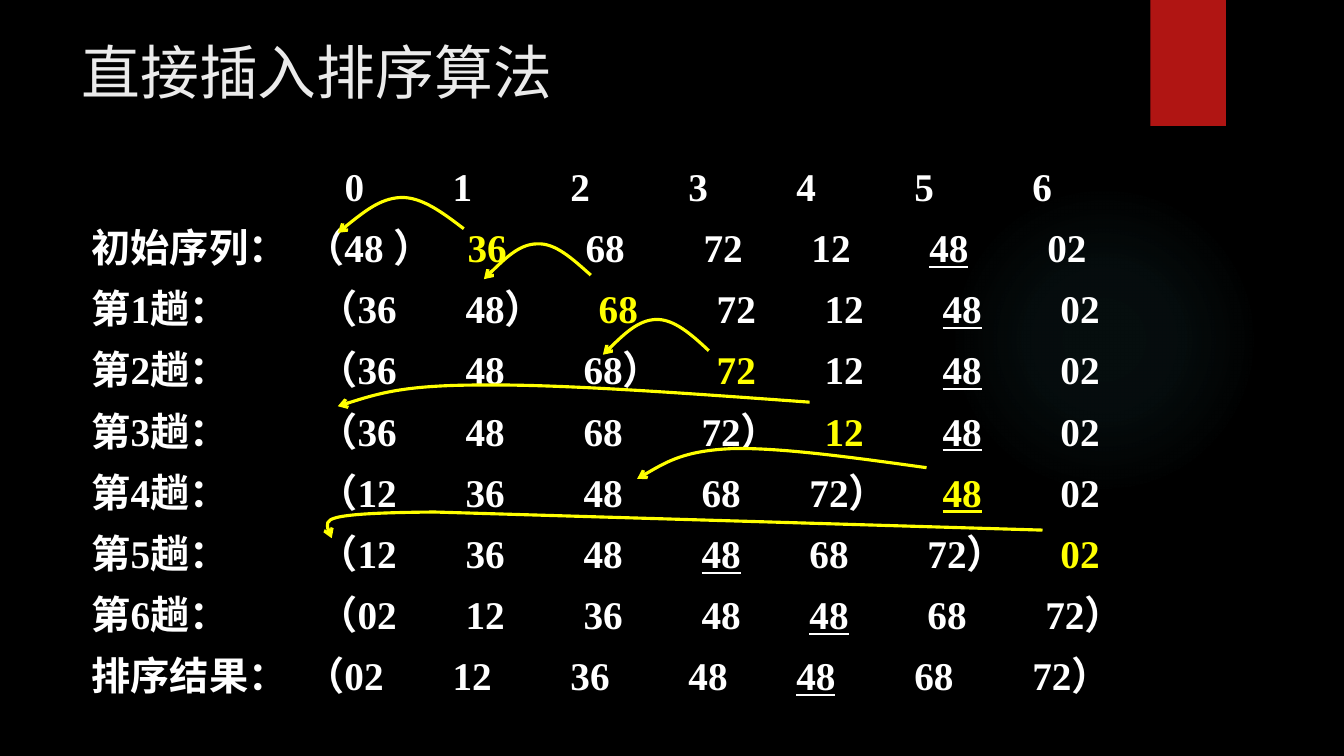
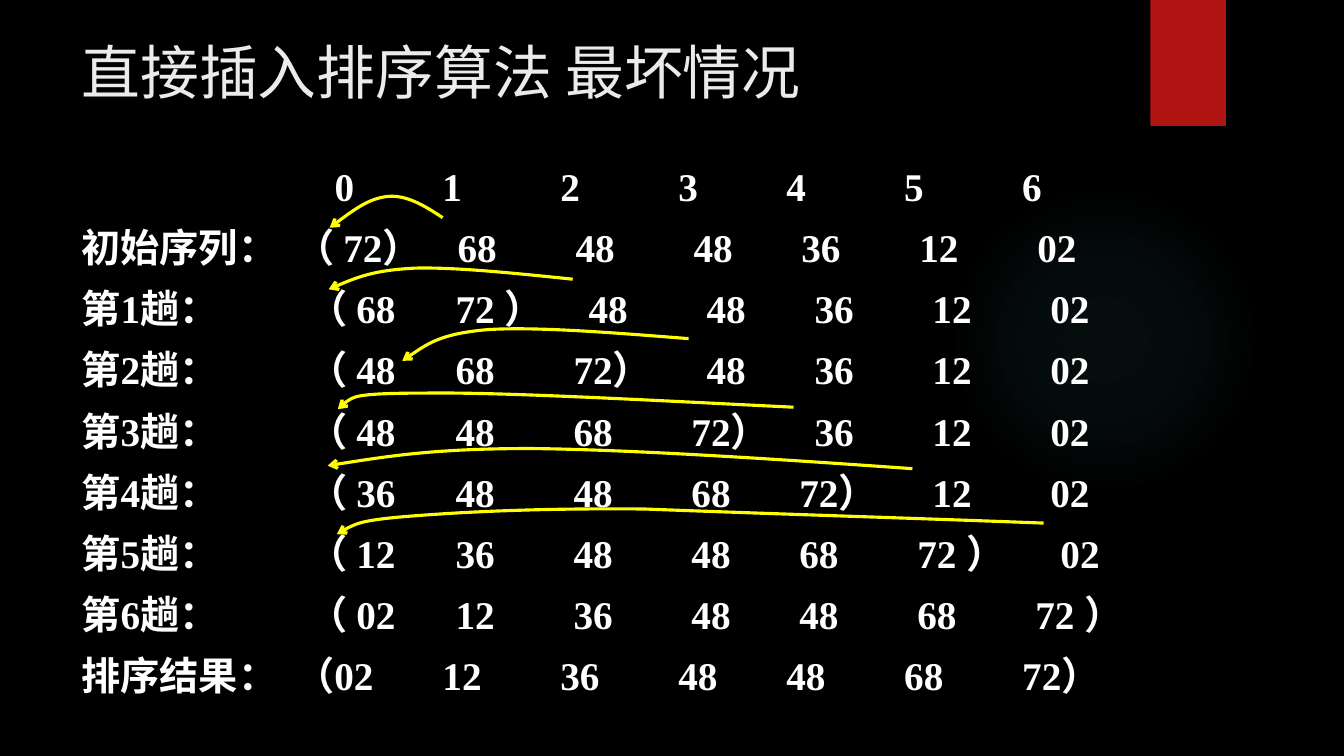
"""Draw two slides that trace the passes of insertion sort."""
import copy
import dataclasses
import typing

import lxml.etree
import pptx
import pptx.dml.color
import pptx.enum.shapes
import pptx.oxml
import pptx.oxml.ns
import pptx.shapes.autoshape
import pptx.slide
import pptx.text.text
import pptx.util

Inches = pptx.util.Inches
qn = pptx.oxml.ns.qn

FONT = "Times New Roman"
BLACK, WHITE, PALE = "000000", "FFFFFF", "EBEBEB"
RED, TEAL, YELLOW = "B01513", "50B9C1", "FFFF00"
STEPS = (1.07, 1.17, 1.17, 1.07, 1.17, 1.17)
COLUMNS = [2.64 + sum(STEPS[:i]) for i in range(len(STEPS) + 1)]
BRACKET = 0.39
INDENT = 0.13


@dataclasses.dataclass
class Row:
    label: str
    cells: str
    gap: float = 0.15


class Arrow(typing.NamedTuple):
    start: tuple[float, float]
    curves: list[tuple[float, ...]]


@dataclasses.dataclass
class Page:
    title: str
    left: float
    rows: list[Row]
    arrows: list[Arrow]


HEADER = Row("", "0|1|2|3|4|5|6")

PAGES = [
    Page("直接插入排序算法", 0.81, [
        HEADER,
        Row("初始序列：", "（48 ）|*36|68|72|12|_48|02"),
        Row("第1趟：", "（36|48）|*68|72|12|_48|02"),
        Row("第2趟：", "（36|48|68）|*72|12|_48|02"),
        Row("第3趟：", "（36|48|68|72）|*12|_48|02"),
        Row("第4趟：", "（12|36|48|68|72）|*_48|02"),
        Row("第5趟：", "（12|36|48|_48|68|72）|*02"),
        Row("第6趟：", "（02|12|36|48|_48|68|72）"),
        Row("排序结果：", "（02|12|36|48|_48|68|72）"),
    ], [
        Arrow((4.6, 2.27), [(4.39, 2.11, 4.18, 1.95, 3.97, 1.96),
                            (3.77, 1.97, 3.56, 2.14, 3.35, 2.31)]),
        Arrow((8.03, 3.99), [(6.79, 3.9, 5.55, 3.81, 4.77, 3.82),
                             (3.99, 3.82, 3.67, 3.93, 3.35, 4.03)]),
        Arrow((9.19, 4.64), [(8.47, 4.54, 7.75, 4.44, 7.27, 4.45),
                             (6.79, 4.47, 6.56, 4.61, 6.32, 4.75)]),
        Arrow((10.34, 5.26), [(8.33, 5.2, 6.32, 5.14, 4.31, 5.08),
                              (3.14, 5.09, 3.21, 5.21, 3.29, 5.34)]),
        Arrow((5.86, 2.73), [(5.68, 2.57, 5.51, 2.41, 5.33, 2.42),
                             (5.16, 2.42, 4.98, 2.59, 4.8, 2.77)]),
        Arrow((7.03, 3.48), [(6.86, 3.32, 6.68, 3.16, 6.5, 3.17),
                             (6.33, 3.18, 6.15, 3.35, 5.98, 3.52)]),
    ]),
    Page("直接插入排序算法 最坏情况", 0.71, [
        HEADER,
        Row("初始序列：", "（ 72）|68|48|48|36|12|02"),
        Row("第1趟：", "（ 68|72 ）|48|48|36|12|02"),
        Row("第2趟：", "（ 48|68|72）|48|36|12|02"),
        Row("第3趟：", "（ 48|48|68|72）|36|12|02"),
        Row("第4趟：", "（ 36|48|48|68|72）|12|02"),
        Row("第5趟：", "（ 12|36|48|48|68|72 ）|02", 0.25),
        Row("第6趟：", "（ 02|12|36|48|48|68|72 ）"),
        Row("排序结果：", "（02|12|36|48|48|68|72）"),
    ], [
        Arrow((4.39, 2.16), [(4.21, 2.04, 4.03, 1.93, 3.84, 1.95),
                             (3.66, 1.97, 3.47, 2.11, 3.27, 2.26)]),
        Arrow((5.68, 2.77), [(5.1, 2.71, 4.52, 2.65, 4.12, 2.66),
                             (3.71, 2.68, 3.49, 2.77, 3.26, 2.87)]),
        Arrow((6.83, 3.36), [(6.07, 3.3, 5.32, 3.24, 4.84, 3.27),
                             (4.37, 3.31, 4.18, 3.45, 3.99, 3.58)]),
        Arrow((7.87, 4.04), [(6.43, 3.97, 4.99, 3.89, 4.23, 3.9),
                             (3.48, 3.9, 3.42, 3.98, 3.35, 4.06)]),
        Arrow((9.05, 4.65), [(7.64, 4.55, 6.23, 4.46, 5.26, 4.45),
                             (4.29, 4.45, 3.77, 4.54, 3.25, 4.62)]),
        Arrow((10.35, 5.19), [(9.03, 5.14, 7.71, 5.1, 6.39, 5.05),
                              (5.34, 5.04, 4.59, 5.08, 4.08, 5.12),
                              (3.57, 5.16, 3.45, 5.23, 3.34, 5.3)]),
    ]),
]


def hue(code: str) -> pptx.dml.color.RGBColor:
    return pptx.dml.color.RGBColor.from_string(code)


def make_xml(body: str) -> lxml.etree._Element:
    tag, rest = body.split(">", 1)
    return pptx.oxml.parse_xml(f"{tag} {pptx.oxml.ns.nsdecls('a')}>{rest}")


def style(font: pptx.text.text.Font, size: float, color: str, bold: bool) -> None:
    font.name = FONT
    font.size = pptx.util.Pt(size)
    font.bold = bold
    font.color.rgb = hue(color)


def add_box(slide: pptx.slide.Slide, *area: float) -> pptx.text.text.TextFrame:
    frame = slide.shapes.add_textbox(*map(Inches, area)).text_frame
    frame.word_wrap = True
    return frame


def draw_frame(slide: pptx.slide.Slide, title: str) -> None:
    kinds = pptx.enum.shapes.MSO_SHAPE
    glow = slide.shapes.add_shape(kinds.OVAL, *map(Inches, (9.41, 1.83, 3.08, 3.08)))
    glow.shadow.inherit = False
    glow.line.fill.background()
    stops = "".join(
        f'<a:gs pos="{spot * 1000}"><a:srgbClr val="{TEAL}">'
        f'<a:alpha val="{alpha * 1000}"/></a:srgbClr></a:gs>'
        for spot, alpha in ((0, 7), (36, 6), (69, 0)))
    glow.element.spPr.find(qn("a:prstGeom")).addnext(make_xml(
        f'<a:gradFill><a:gsLst>{stops}</a:gsLst><a:path path="circle">'
        '<a:fillToRect l="50000" t="50000" r="50000" b="50000"/>'
        '</a:path></a:gradFill>'))

    band = slide.shapes.add_shape(kinds.RECTANGLE, *map(Inches, (11.41, 0, 0.75, 1.25)))
    band.shadow.inherit = False
    band.fill.solid()
    band.fill.fore_color.rgb = hue(RED)
    band.line.fill.background()
    band.element.spPr.find(qn("a:effectLst")).append(make_xml(
        f'<a:outerShdw blurRad="{pptx.util.Pt(3)}" dist="{pptx.util.Pt(2)}" dir="5400000">'
        f'<a:srgbClr val="{BLACK}"><a:alpha val="45000"/></a:srgbClr></a:outerShdw>'))

    para = add_box(slide, 0.71, 0.31, 10.29, 1.53).paragraphs[0]
    para.text = title
    style(para.font, 42, PALE, False)


def set_tabs(para: pptx.text.text._Paragraph, spots: list[float]) -> None:
    tabs = lxml.etree.SubElement(para._p.get_or_add_pPr(), qn("a:tabLst"))
    for spot in spots:
        lxml.etree.SubElement(tabs, qn("a:tab"), pos=str(Inches(spot)), algn="l")


def fill_row(para: pptx.text.text._Paragraph, row: Row) -> None:
    cells = row.cells.split("|")
    shift = 0 if row.label.startswith("第") else -INDENT
    spots = []
    for column, cell in zip(COLUMNS, cells):
        spots.append(column + shift - BRACKET * cell.startswith("（"))
        shift += row.gap * cell.endswith("）")
    para.line_spacing = 1.3
    set_tabs(para, spots)
    style(para.font, 28, WHITE, True)
    if row.label:
        para.add_run().text = row.label
    for cell in cells:
        para.add_run().text = "\t"
        run = para.add_run()
        run.text = cell.lstrip("*_")
        if "*" in cell:
            run.font.color.rgb = hue(YELLOW)
        if "_" in cell:
            run.font.underline = True


def draw_rows(slide: pptx.slide.Slide, left: float, rows: list[Row]) -> None:
    frame = add_box(slide, left, 1.42, 11.99, 5.61)
    for i, row in enumerate(rows):
        fill_row(frame.add_paragraph() if i else frame.paragraphs[0], row)


def bend(shape: pptx.shapes.autoshape.Shape) -> None:
    lines = list(shape.element.iter(qn("a:lnTo")))
    for i in range(0, len(lines), 3):
        curve = make_xml("<a:cubicBezTo></a:cubicBezTo>")
        lines[i].addprevious(curve)
        for line in lines[i:i + 3]:
            curve.append(copy.deepcopy(line[0]))
            line.getparent().remove(line)


def draw_arrow(slide: pptx.slide.Slide, arrow: Arrow) -> None:
    pen = slide.shapes.build_freeform(*map(Inches, arrow.start))
    points = [(Inches(curve[i]), Inches(curve[i + 1]))
              for curve in arrow.curves for i in (0, 2, 4)]
    pen.add_line_segments(points, close=False)
    shape = pen.convert_to_shape()
    bend(shape)
    shape.shadow.inherit = False
    shape.fill.background()
    shape.line.color.rgb = hue(YELLOW)
    shape.line.width = pptx.util.Pt(2.25)
    lxml.etree.SubElement(shape.element.spPr.find(qn("a:ln")), qn("a:tailEnd"), type="arrow")


def main() -> None:
    deck = pptx.Presentation()
    deck.slide_width, deck.slide_height = Inches(13.33), Inches(7.5)
    back = deck.slide_master.background.fill
    back.solid()
    back.fore_color.rgb = hue(BLACK)
    for page in PAGES:
        slide = deck.slides.add_slide(deck.slide_layouts[6])
        draw_frame(slide, page.title)
        draw_rows(slide, page.left, page.rows)
        for arrow in page.arrows:
            draw_arrow(slide, arrow)
    deck.save("out.pptx")


if __name__ == "__main__":
    main()
